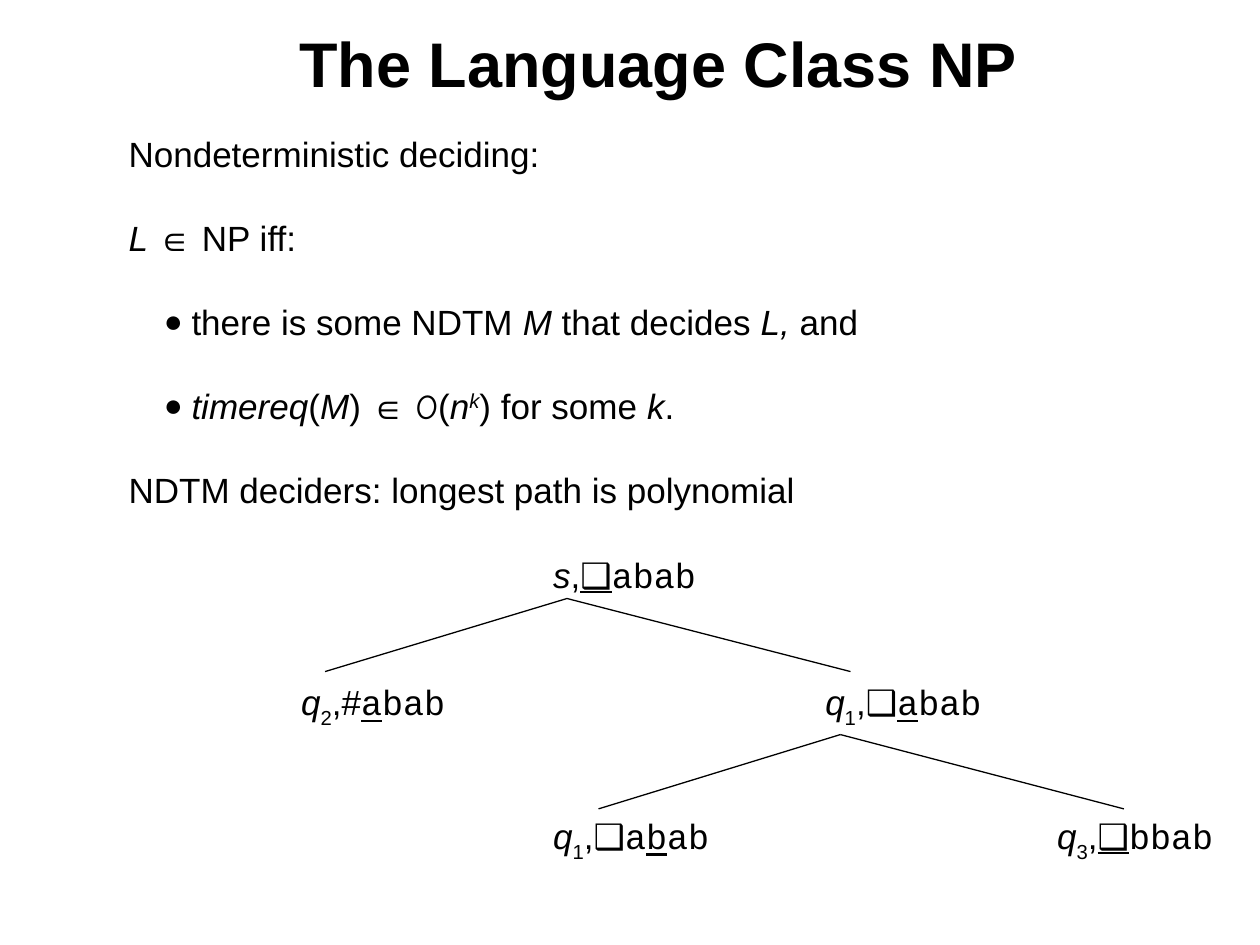
from typing import NamedTuple

from lxml.etree import SubElement
from pptx import Presentation
from pptx.dml.color import RGBColor
from pptx.enum.shapes import MSO_CONNECTOR
from pptx.enum.text import MSO_ANCHOR, MSO_AUTO_SIZE, PP_ALIGN
from pptx.oxml.ns import qn
from pptx.util import Inches, Pt

COLORS = {"text": "000000", "line": "000000", "background": "FFFFFF"}
LINE_HEIGHT = 24
NODE_SIZE = (1.3, 0.4)
ROW_TOPS = (4.39, 5.46, 6.52)


class Piece(NamedTuple):
    text: str
    font: str = "Arial"
    italic: bool = False
    underline: bool = False
    baseline: int = 0


class Line(NamedTuple):
    pieces: list[Piece]
    bullet: bool = False


class Node(NamedTuple):
    left: float
    row: int
    pieces: list[Piece]


class Branch(NamedTuple):
    parent: tuple[float, float]
    children: tuple[tuple[float, float], ...]


def italic(text: str) -> Piece:
    return Piece(text, italic=True)


def code(text: str, underline: bool = False) -> Piece:
    return Piece(text, font="Courier New", underline=underline)


def state(number: str) -> list[Piece]:
    return [italic("q"), Piece(number, baseline=-30000)]


LINES = [
    Line([Piece("Nondeterministic deciding:")]),
    Line([italic("L "), Piece("∈ NP iff:")]),
    Line([Piece("there is some NDTM "), italic("M"), Piece(" that decides "),
          italic("L,"), Piece(" and")], bullet=True),
    Line([italic("timereq"), Piece("("), italic("M"), Piece(") ∈ "),
          Piece("O", font="Comic Neue"), Piece("("), italic("n"),
          Piece("k", italic=True, baseline=30000), Piece(") for some "),
          italic("k"), Piece(".")], bullet=True),
    Line([Piece("NDTM deciders: longest path is polynomial")]),
]

NODES = [
    Node(4.39, 0, [italic("s"), Piece(","), Piece("❑", underline=True), code("abab")]),
    Node(2.39, 1, [*state("2"), Piece(",#"), code("a", True), code("bab")]),
    Node(6.55, 1, [*state("1"), Piece(",❑"), code("a", True), code("bab")]),
    Node(4.39, 2, [*state("1"), Piece(",❑"), code("a"), code("b", True), code("ab")]),
    Node(8.39, 2, [*state("3"), Piece(","), Piece("❑", underline=True), code("bbab")]),
]

BRANCHES = [
    Branch((4.5, 4.75), ((2.58, 5.33), (6.75, 5.33))),
    Branch((6.67, 5.83), ((4.75, 6.42), (8.92, 6.42))),
]


def add_text(paragraph, text: str, *, size: float = 20, font: str = "Arial",
             bold: bool = False, italic: bool = False, underline: bool = False,
             baseline: int = 0) -> None:
    run = paragraph.add_run()
    run.text = text
    run.font.name = font
    run.font.size = Pt(size)
    run.font.bold = bold
    run.font.italic = italic
    run.font.underline = underline
    run.font.color.rgb = RGBColor.from_string(COLORS["text"])
    if baseline:
        run.font._element.set("baseline", str(baseline))


def place(shape, left: float, top: float, width: float, height: float) -> None:
    shape.left, shape.top = Inches(left), Inches(top)
    shape.width, shape.height = Inches(width), Inches(height)
    shape.text_frame.word_wrap = True
    shape.text_frame.auto_size = MSO_AUTO_SIZE.NONE


def set_indent(paragraph, bullet: bool) -> None:
    properties = paragraph._p.get_or_add_pPr()
    properties.set("marL", str(Inches(0.5 if bullet else 0)))
    properties.set("indent", str(Inches(-0.22 if bullet else 0)))
    if bullet:
        SubElement(properties, qn("a:buSzPct"), val="90000")
        SubElement(properties, qn("a:buFont"), typeface="Arial")
        SubElement(properties, qn("a:buChar"), char="●")
    else:
        SubElement(properties, qn("a:buNone"))


def add_pieces(paragraph, pieces: list[Piece], space_before: float = 0) -> None:
    paragraph.alignment = PP_ALIGN.LEFT
    paragraph.line_spacing = Pt(LINE_HEIGHT)
    paragraph.space_before = Pt(space_before)
    for piece in pieces:
        add_text(paragraph, **piece._asdict())


def add_node(slide, node: Node) -> None:
    position = (node.left, ROW_TOPS[node.row], *NODE_SIZE)
    text_box = slide.shapes.add_textbox(*map(Inches, position))
    frame = text_box.text_frame
    frame.word_wrap = True
    frame.margin_left = frame.margin_right = 0
    frame.margin_top = frame.margin_bottom = 0
    add_pieces(frame.paragraphs[0], node.pieces)


def add_branch(slide, branch: Branch) -> None:
    for child in branch.children:
        connector = slide.shapes.add_connector(
            MSO_CONNECTOR.STRAIGHT, *map(Inches, branch.parent + child))
        connector.line.color.rgb = RGBColor.from_string(COLORS["line"])
        connector.line.width = Pt(0.75)
        SubElement(connector._element.spPr, qn("a:effectLst"))


def main() -> None:
    presentation = Presentation()
    presentation.slide_width, presentation.slide_height = Inches(10), Inches(7.5)
    slide = presentation.slides.add_slide(presentation.slide_layouts[1])
    slide.background.fill.solid()
    slide.background.fill.fore_color.rgb = RGBColor.from_string(COLORS["background"])

    title = slide.shapes.title
    place(title, 0.58, 0.08, 9.42, 0.83)
    title.text_frame.vertical_anchor = MSO_ANCHOR.MIDDLE
    title.text_frame.margin_right = Inches(0.23)
    heading = title.text_frame.paragraphs[0]
    heading.alignment = PP_ALIGN.CENTER
    add_text(heading, "The Language Class NP", size=36, bold=True)

    body = slide.placeholders[1]
    place(body, 0.92, 1, 8.83, 3.25)
    frame = body.text_frame
    frame.vertical_anchor = MSO_ANCHOR.TOP
    for index, line in enumerate(LINES):
        paragraph = frame.add_paragraph() if index else frame.paragraphs[0]
        set_indent(paragraph, line.bullet)
        add_pieces(paragraph, line.pieces, LINE_HEIGHT if index else 0)

    for node in NODES:
        add_node(slide, node)
    for branch in BRANCHES:
        add_branch(slide, branch)
    presentation.save("out.pptx")


if __name__ == "__main__":
    main()
